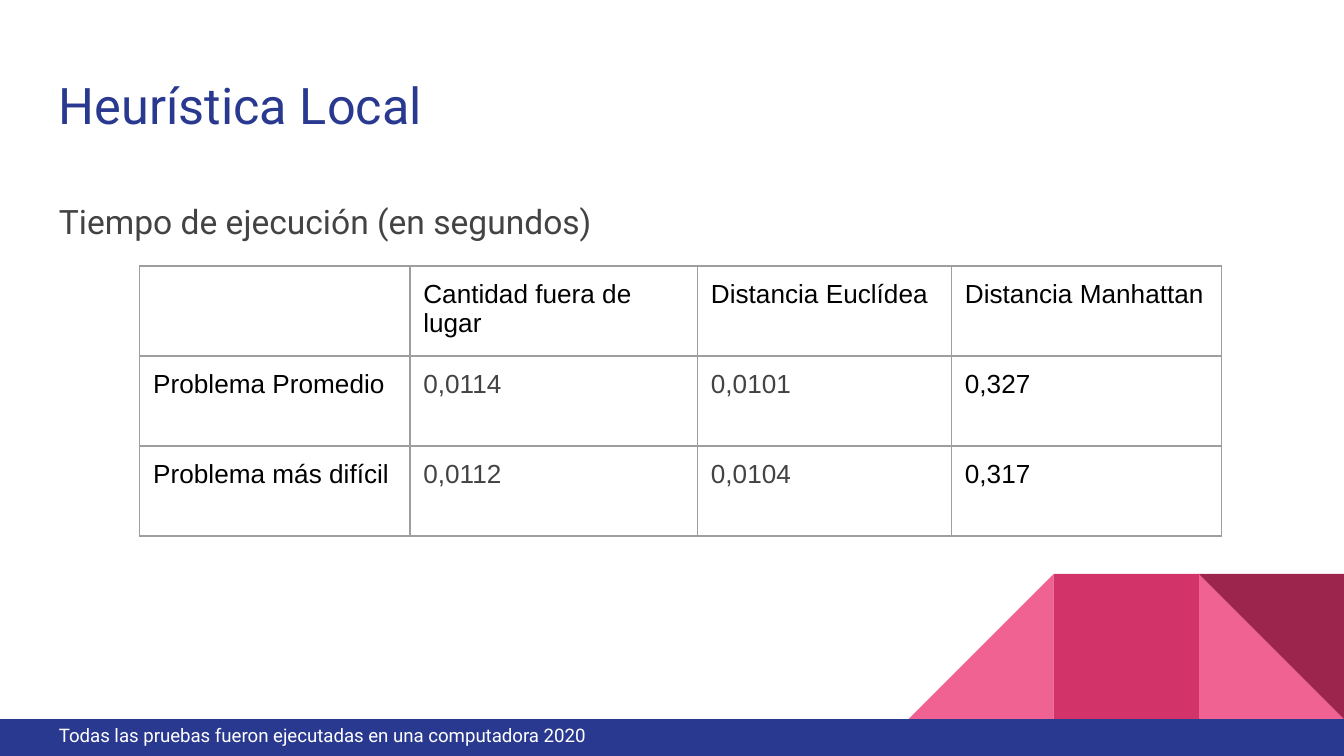
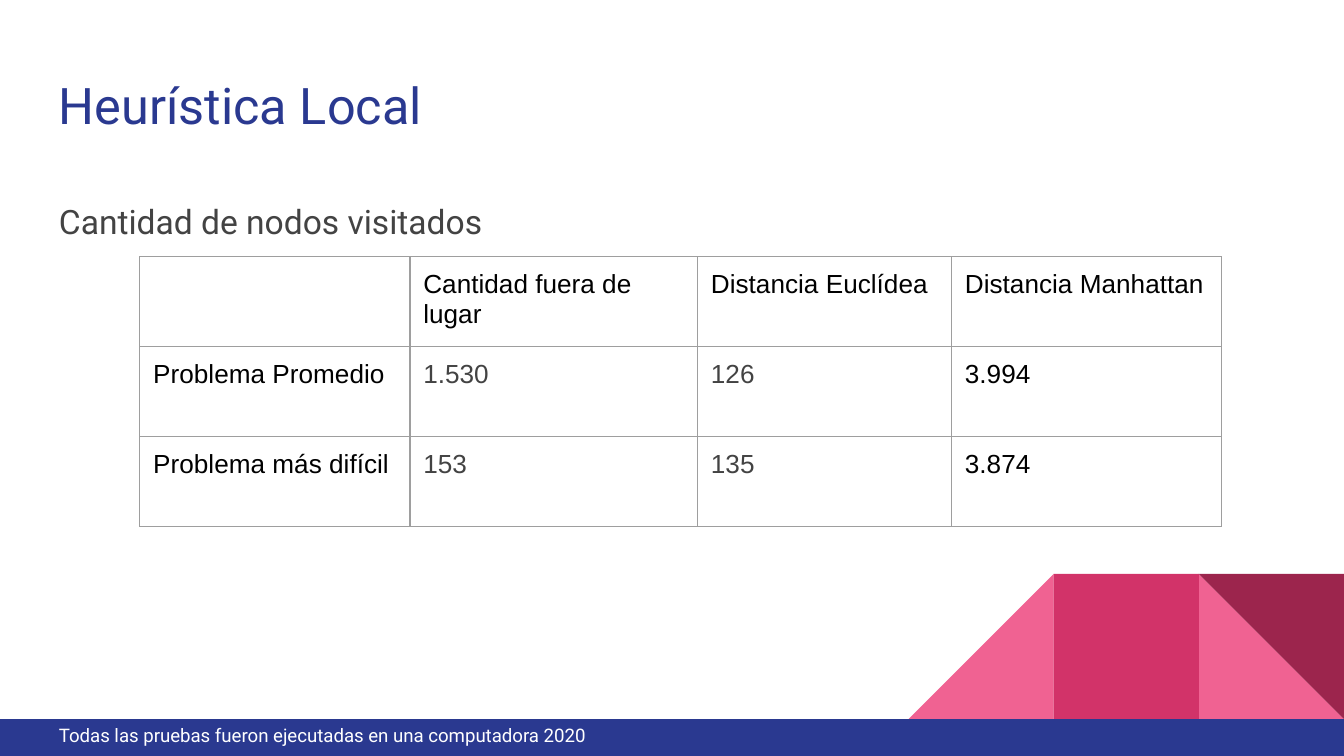
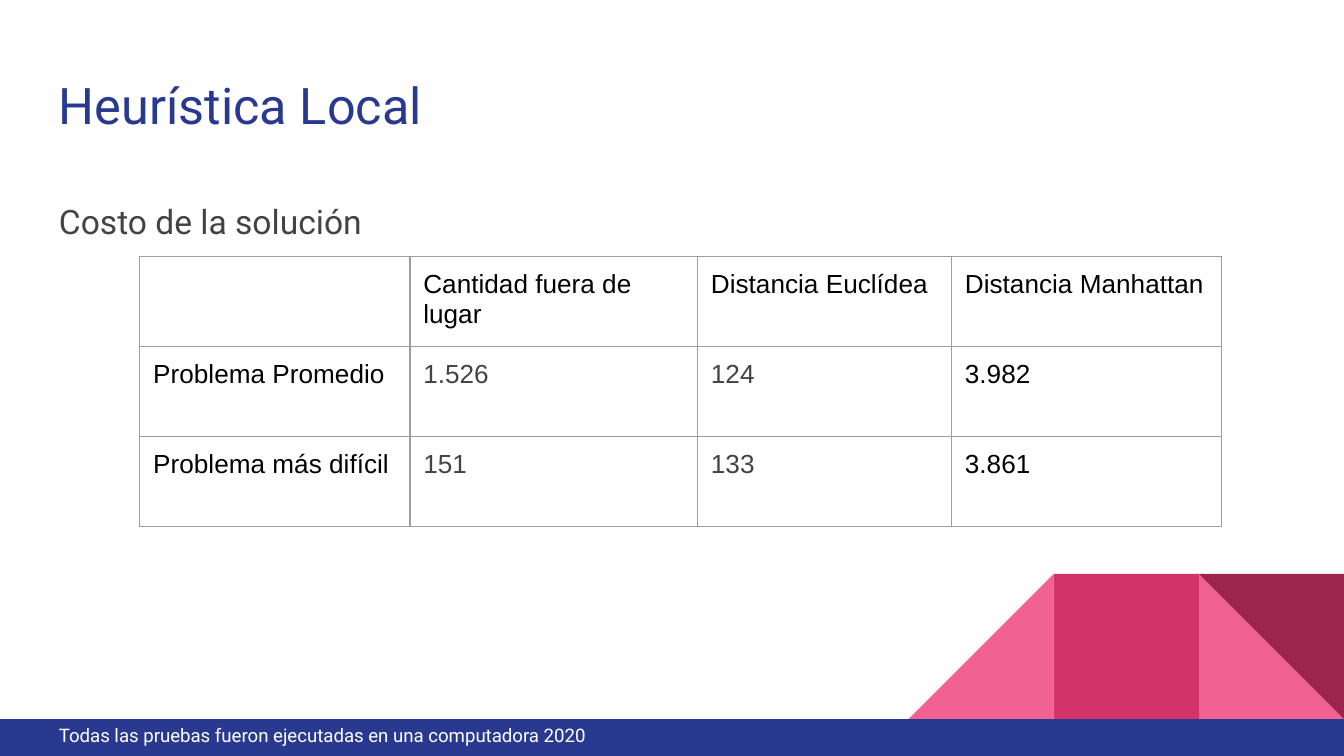
from lxml import etree
from pptx import Presentation
from pptx.dml.color import RGBColor
from pptx.enum.shapes import MSO_SHAPE
from pptx.enum.text import MSO_ANCHOR
from pptx.oxml.ns import qn
from pptx.util import Inches, Pt

RECTANGLE = MSO_SHAPE.RECTANGLE
RIGHT_TRIANGLE = MSO_SHAPE.RIGHT_TRIANGLE
TOP, MIDDLE = MSO_ANCHOR.TOP, MSO_ANCHOR.MIDDLE

# The grid has square cells, a hundred of them across the slide.
COLUMNS, ROWS = 100, 56.25
CELL = Inches(0.1)
BLANK_LAYOUT = 6

TILE = 10.8
BAND_TOP = 53.5
MARGIN = 3.4
CONTENT_WIDTH = COLUMNS - 2 * MARGIN
TABLE_LEFT = 10.4
TABLE_COLUMNS = (20.1, 21.4, 18.9, 20.1)
TABLE_ROW = 6.7

TITLE = "Heurística Local"
FOOTER = "Todas las pruebas fueron ejecutadas en una computadora 2020"
HEADINGS = ("", "Cantidad fuera de lugar", "Distancia Euclídea", "Distancia Manhattan")
CASES = ("Problema Promedio", "Problema más difícil")

# Subtitle, table top, and the values of each case.
RESULTS = (
    ("Tiempo de ejecución (en segundos)", 19.8,
     (("0,0114", "0,0101", "0,327"), ("0,0112", "0,0104", "0,317"))),
    ("Cantidad de nodos visitados", 19.1,
     (("1.530", "126", "3.994"), ("153", "135", "3.874"))),
    ("Costo de la solución", 19.1,
     (("1.526", "124", "3.982"), ("151", "133", "3.861"))),
)


def color(value):
    return RGBColor.from_string(value)


def grid(*lengths):
    """Turn grid cells into slide units."""
    return [round(length * CELL) for length in lengths]


def write(frame, text, *, size, color_hex, font="Roboto", spacing=None):
    paragraph = frame.paragraphs[0]
    if spacing:
        paragraph.line_spacing = spacing
    run = paragraph.add_run()
    run.text = text
    run.font.size = Pt(size)
    run.font.name = font
    run.font.color.rgb = color(color_hex)


class Deck:
    """The shared style and the slide being built."""

    navy, gray, black, white = "2A3990", "434343", "000000", "FFFFFF"
    pink, magenta, wine, border = "F06292", "D23369", "9C254D", "9E9E9E"

    def __init__(self):
        self.presentation = Presentation()
        self.presentation.slide_width, self.presentation.slide_height = grid(COLUMNS, ROWS)
        self.slide = None

    def add_slide(self):
        layout = self.presentation.slide_layouts[BLANK_LAYOUT]
        self.slide = self.presentation.slides.add_slide(layout)
        self.decoration()
        self.text(TITLE, MARGIN, 4.5, CONTENT_WIDTH, 6.6, anchor=MIDDLE,
                  size=27, color_hex=self.navy)

    def decoration(self):
        """Draw the corner tiles and the bottom band."""
        tiles = (
            (1, RIGHT_TRIANGLE, self.pink, 0),
            (3, RIGHT_TRIANGLE, self.pink, 270),
            (2, RECTANGLE, self.magenta, 0),
            (1, RIGHT_TRIANGLE, self.wine, 180),
        )
        for place_from_right, kind, fill, rotation in tiles:
            self.shape(kind, COLUMNS - place_from_right * TILE, BAND_TOP - TILE,
                       TILE, TILE, fill, rotation)
        self.shape(RECTANGLE, 0, BAND_TOP, COLUMNS, ROWS - BAND_TOP, self.navy)

    def shape(self, kind, left, top, width, height, fill, rotation=0):
        shape = self.slide.shapes.add_shape(kind, *grid(left, top, width, height))
        shape.shadow.inherit = False
        shape.fill.solid()
        shape.fill.fore_color.rgb = color(fill)
        shape.line.fill.background()
        shape.rotation = rotation

    def text(self, text, left, top, width, height, anchor=TOP, **style):
        frame = self.slide.shapes.add_textbox(*grid(left, top, width, height)).text_frame
        frame.word_wrap = True
        frame.vertical_anchor = anchor
        (frame.margin_left, frame.margin_top,
         frame.margin_right, frame.margin_bottom) = grid(1, 1, 1, 1)
        write(frame, text, **style)

    def table(self, top, rows):
        graphic_frame = self.slide.shapes.add_table(
            len(rows), len(TABLE_COLUMNS),
            *grid(TABLE_LEFT, top, sum(TABLE_COLUMNS), TABLE_ROW * len(rows)))
        table = graphic_frame.table
        table.first_row = table.horz_banding = False
        for column, width in zip(table.columns, grid(*TABLE_COLUMNS)):
            column.width = width
        for row_index, row in enumerate(rows):
            for column_index, text in enumerate(row):
                cell = table.cell(row_index, column_index)
                self.style_cell(cell)
                is_gray = row_index > 0 and column_index in (1, 2)
                if text:
                    write(cell.text_frame, text, size=14, font="Arial",
                          color_hex=self.gray if is_gray else self.black)

    def style_cell(self, cell):
        (cell.margin_left, cell.margin_top,
         cell.margin_right, cell.margin_bottom) = grid(1, 1, 1, 1)
        properties = cell._tc.get_or_add_tcPr()
        for side in ("a:lnL", "a:lnR", "a:lnT", "a:lnB"):
            line = etree.SubElement(properties, qn(side), w=str(Pt(0.75)))
            fill = etree.SubElement(line, qn("a:solidFill"))
            etree.SubElement(fill, qn("a:srgbClr"), val=self.border)
        cell.fill.background()


def main():
    deck = Deck()
    for subtitle, table_top, values in RESULTS:
        deck.add_slide()
        deck.text(subtitle, MARGIN, 13.5, CONTENT_WIDTH, 36.5,
                  size=18, color_hex=deck.gray, spacing=1.15)
        deck.table(table_top, [HEADINGS] + [(case, *row) for case, row in zip(CASES, values)])
        deck.text(FOOTER, MARGIN, 53, 76, 3.7, size=10, color_hex=deck.white)
    deck.presentation.save("out.pptx")


if __name__ == "__main__":
    main()
